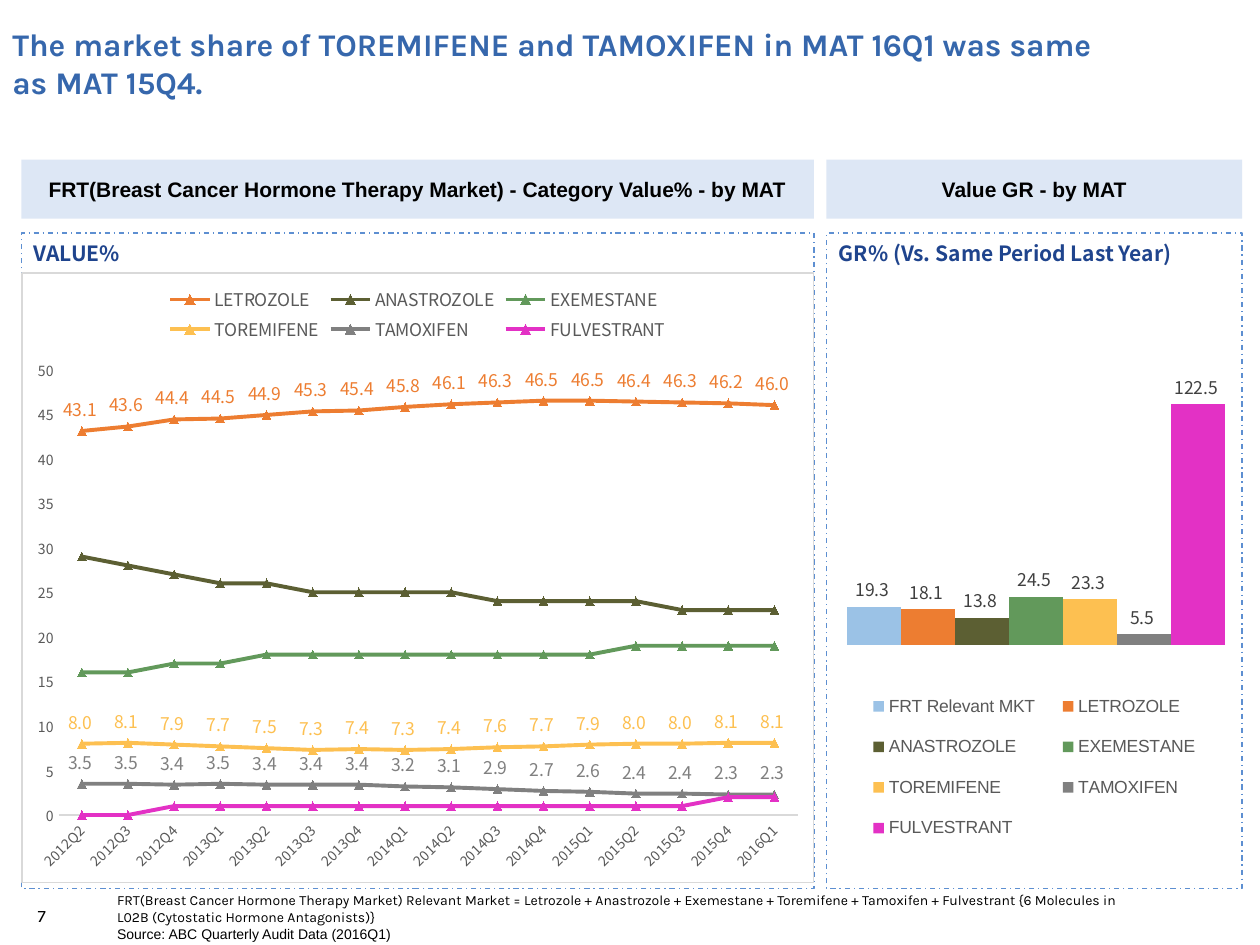
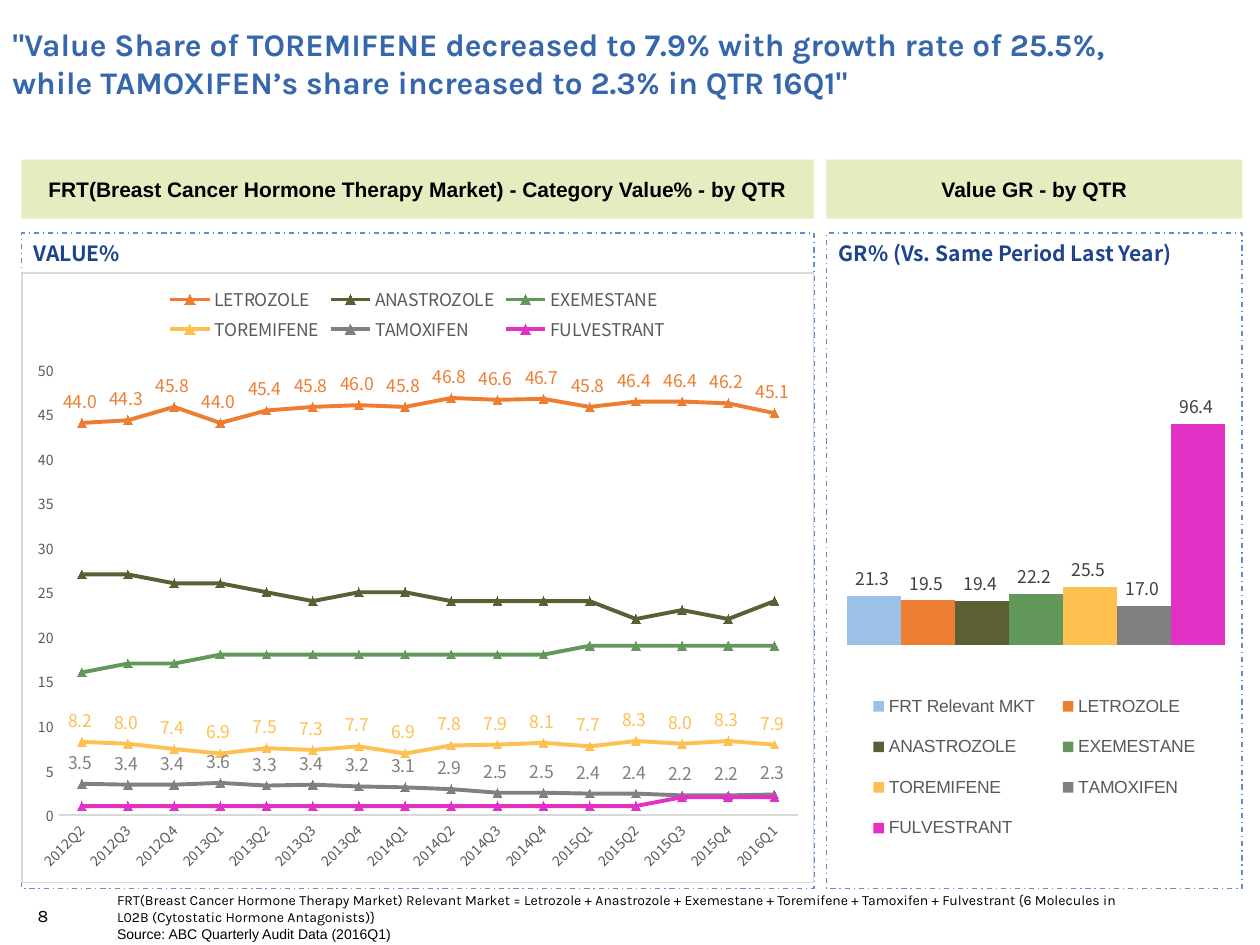
import pptx
import pptx.chart.data
import pptx.dml.color
import pptx.enum.chart
import pptx.enum.dml
import pptx.enum.shapes
import pptx.enum.text
import pptx.oxml
import pptx.oxml.ns
import pptx.util

Cm, Pt = pptx.util.Cm, pptx.util.Pt
RGBColor = pptx.dml.color.RGBColor
PP_ALIGN = pptx.enum.text.PP_ALIGN
MSO_ANCHOR = pptx.enum.text.MSO_ANCHOR
XL = pptx.enum.chart
qn = pptx.oxml.ns.qn

BLACK = RGBColor(0x00, 0x00, 0x00)
TITLE_BLUE = RGBColor(0x36, 0x67, 0xAC)
PANEL_BLUE = RGBColor(0x1F, 0x44, 0x8D)
DASH_BLUE = RGBColor(0x5D, 0x8F, 0xD1)
BAND_BLUE = RGBColor(0xAB, 0xC5, 0xE7)
BAND_GREEN = RGBColor(0xBD, 0xD2, 0x62)
RULE_GREY = RGBColor(0xD9, 0xD9, 0xD9)
AXIS_GREY = RGBColor(0x59, 0x59, 0x59)
LABEL_GREY = RGBColor(0x40, 0x40, 0x40)
COLOURS = {
    "FRT Relevant MKT": RGBColor(0x9B, 0xC2, 0xE6),
    "LETROZOLE": RGBColor(0xED, 0x7D, 0x31),
    "ANASTROZOLE": RGBColor(0x5C, 0x5F, 0x33),
    "EXEMESTANE": RGBColor(0x62, 0x99, 0x5B),
    "TOREMIFENE": RGBColor(0xFD, 0xC0, 0x51),
    "TAMOXIFEN": RGBColor(0x80, 0x80, 0x80),
    "FULVESTRANT": RGBColor(0xE3, 0x31, 0xC5),
}
LABELLED = ("LETROZOLE", "TOREMIFENE", "TAMOXIFEN")
KARLA, ARIAL, NOTO = "Karla", "Arial", "Noto Sans CJK SC"
NUMBER = "#,##0.0_ "

# Left edge and width, in centimetres, of the two columns
SHARE_COLUMN = (0.43, 15.98)
GROWTH_COLUMN = (16.66, 8.38)
BAND_TOP, BAND_HEIGHT = 3.22, 1.19
PANEL_TOP, PANEL_HEIGHT = 4.7, 13.21
CHART_DROP, CHART_HEIGHT = 0.79, 12.32

QUARTERS = [f"{y}Q{q}" for y in range(2012, 2017) for q in range(1, 5)][1:17]
FOOTNOTE = ("FRT(Breast Cancer Hormone Therapy Market) Relevant Market = Letrozole + "
            "Anastrozole + Exemestane + Toremifene + Tamoxifen + Fulvestrant "
            "{6 Molecules in L02B (Cytostatic Hormone Antagonists)}")
SOURCE = "Source: ABC Quarterly Audit Data (2016Q1)"

SLIDES = [
    dict(
        number="7", period="MAT", band=BAND_BLUE, growth_max=140,
        title="The market share of TOREMIFENE and TAMOXIFEN in MAT 16Q1 was same "
              "as MAT 15Q4.",
        growth=[19.3, 18.1, 13.8, 24.5, 23.3, 5.5, 122.5],
        share={
            "LETROZOLE": [43.1, 43.6, 44.4, 44.5, 44.9, 45.3, 45.4, 45.8,
                          46.1, 46.3, 46.5, 46.5, 46.4, 46.3, 46.2, 46],
            "ANASTROZOLE": [29, 28, 27, 26, 26, 25, 25, 25,
                            25, 24, 24, 24, 24, 23, 23, 23],
            "EXEMESTANE": [16, 16, 17, 17, 18, 18, 18, 18,
                           18, 18, 18, 18, 19, 19, 19, 19],
            "TOREMIFENE": [8, 8.1, 7.9, 7.7, 7.5, 7.3, 7.4, 7.3,
                           7.4, 7.6, 7.7, 7.9, 8, 8, 8.1, 8.1],
            "TAMOXIFEN": [3.5, 3.5, 3.4, 3.5, 3.4, 3.4, 3.4, 3.2,
                          3.1, 2.9, 2.7, 2.6, 2.4, 2.4, 2.3, 2.3],
            "FULVESTRANT": [0, 0, 1, 1, 1, 1, 1, 1, 1, 1, 1, 1, 1, 1, 2, 2],
        }),
    dict(
        number="8", period="QTR", band=BAND_GREEN, growth_max=120,
        title="\"Value Share of TOREMIFENE decreased to 7.9% with growth rate of 25.5%, "
              "while TAMOXIFEN\u2019s share increased to 2.3% in QTR 16Q1\"",
        growth=[21.3, 19.5, 19.4, 22.2, 25.5, 17, 96.4],
        share={
            "LETROZOLE": [44, 44.3, 45.8, 44, 45.4, 45.8, 46, 45.8,
                          46.8, 46.6, 46.7, 45.8, 46.4, 46.4, 46.2, 45.1],
            "ANASTROZOLE": [27, 27, 26, 26, 25, 24, 25, 25,
                            24, 24, 24, 24, 22, 23, 22, 24],
            "EXEMESTANE": [16, 17, 17, 18, 18, 18, 18, 18,
                           18, 18, 18, 19, 19, 19, 19, 19],
            "TOREMIFENE": [8.2, 8, 7.4, 6.9, 7.5, 7.3, 7.7, 6.9,
                           7.8, 7.9, 8.1, 7.7, 8.3, 8, 8.3, 7.9],
            "TAMOXIFEN": [3.5, 3.4, 3.4, 3.6, 3.3, 3.4, 3.2, 3.1,
                          2.9, 2.5, 2.5, 2.4, 2.4, 2.2, 2.2, 2.3],
            "FULVESTRANT": [1, 1, 1, 1, 1, 1, 1, 1, 1, 1, 1, 1, 1, 2, 2, 2],
        }),
]


def set_font(font, name, size, colour, bold=False):
    """Set face, size, colour and weight of a font."""
    font.name, font.size, font.bold = name, Pt(size), bold
    font.color.rgb = colour


def add_text(s, box, text, name, size, colour=BLACK, bold=False, anchor=MSO_ANCHOR.TOP):
    """Add a wrapped text box with one run; box is in centimetres."""
    tf = s.shapes.add_textbox(*map(Cm, box)).text_frame
    tf.word_wrap = True
    tf.vertical_anchor = anchor
    r = tf.paragraphs[0].add_run()
    r.text = text
    set_font(r.font, name, size, colour, bold)


def add_rect(s, box):
    """Add a plain rectangle without shadow."""
    sp = s.shapes.add_shape(pptx.enum.shapes.MSO_SHAPE.RECTANGLE, *map(Cm, box))
    sp.shadow.inherit = False
    return sp


def add_band(s, column, text, colour):
    """Add the translucent heading band above a column."""
    left, width = column
    sp = add_rect(s, (left, BAND_TOP, width, BAND_HEIGHT))
    sp.fill.solid()
    sp.fill.fore_color.rgb = colour
    clr = sp.fill._xPr.find(".//" + qn("a:srgbClr"))
    clr.append(pptx.oxml.parse_xml(
        f'<a:alpha {pptx.oxml.ns.nsdecls("a")} val="40000"/>'))
    sp.line.fill.background()
    tf = sp.text_frame
    tf.word_wrap = False
    tf.vertical_anchor = MSO_ANCHOR.MIDDLE
    p = tf.paragraphs[0]
    p.alignment = PP_ALIGN.CENTER
    r = p.add_run()
    r.text = text
    set_font(r.font, ARIAL, 12, BLACK, True)


def add_panel(s, column, caption):
    """Add a captioned dash-dot frame and return the chart box inside it."""
    left, width = column
    add_text(s, (left, PANEL_TOP + 0.02, width, 0.76), caption, NOTO, 12, PANEL_BLUE, True)
    sp = add_rect(s, (left, PANEL_TOP, width, PANEL_HEIGHT))
    sp.fill.background()
    sp.line.color.rgb = DASH_BLUE
    sp.line.width = Pt(0.75)
    sp.line.dash_style = pptx.enum.dml.MSO_LINE.DASH_DOT
    return left, PANEL_TOP + CHART_DROP, width, CHART_HEIGHT


def set_layout(parent, index, x, y, w, h, target=""):
    """Place a plot area or legend by fractions of its chart."""
    for old in parent.findall(qn("c:layout")):
        parent.remove(old)
    sizes = "".join(f'<c:{k} val="{v}"/>' for k, v in zip("xywh", (x, y, w, h)))
    parent.insert(index, pptx.oxml.parse_xml(
        f'<c:layout {pptx.oxml.ns.nsdecls("c")}><c:manualLayout>{target}'
        f'<c:xMode val="edge"/><c:yMode val="edge"/>{sizes}'
        '</c:manualLayout></c:layout>'))


def add_chart(s, box, kind, categories, series, legend_position, legend_font):
    """Add a chart with the shared font and legend style."""
    data = pptx.chart.data.CategoryChartData(number_format=NUMBER)
    data.categories = categories
    for name, values in series.items():
        data.add_series(name, values)
    chart = s.shapes.add_chart(kind, *map(Cm, box), data).chart
    chart.has_title = False
    set_font(chart.font, NOTO, 10, BLACK)
    chart.plots[0].vary_by_categories = False
    chart.has_legend = True
    chart.legend.position = legend_position
    chart.legend.include_in_layout = False
    set_font(chart.legend.font, legend_font, 10, AXIS_GREY)
    chart.value_axis.has_major_gridlines = False
    chart.value_axis.minimum_scale = 0
    return chart


def add_labels(series, position, colour):
    """Show the values of one series."""
    labels = series.data_labels
    labels.show_value = True
    labels.number_format = NUMBER
    labels.number_format_is_linked = False
    labels.position = position
    set_font(labels.font, NOTO, 10, colour)


def add_share_chart(s, box, share):
    """Add the line chart of value share by quarter."""
    chart = add_chart(s, box, XL.XL_CHART_TYPE.LINE_MARKERS, QUARTERS, share,
                      XL.XL_LEGEND_POSITION.TOP, NOTO)
    for axis in (chart.category_axis, chart.value_axis):
        axis.major_tick_mark = axis.minor_tick_mark = XL.XL_TICK_MARK.NONE
        set_font(axis.tick_labels.font, NOTO, 8, AXIS_GREY)
    line = chart.category_axis.format.line
    line.color.rgb = RULE_GREY
    line.width = Pt(0.75)
    body = chart.category_axis._element.find(qn("c:txPr")).find(qn("a:bodyPr"))
    body.set("rot", "-2700000")
    axis = chart.value_axis
    axis.maximum_scale, axis.major_unit = 50, 5
    axis.tick_labels.number_format = "#,##0"
    axis.tick_labels.number_format_is_linked = False
    axis.format.line.fill.background()
    for series in chart.plots[0].series:
        colour = COLOURS[series.name]
        series.smooth = False
        series.format.line.color.rgb = colour
        series.format.line.width = Pt(2.25)
        marker = series.marker
        marker.style, marker.size = XL.XL_MARKER_STYLE.TRIANGLE, 5
        marker.format.fill.solid()
        marker.format.fill.fore_color.rgb = colour
        marker.format.line.color.rgb = colour
        if series.name in LABELLED:
            add_labels(series, XL.XL_LABEL_POSITION.ABOVE, colour)
    chart._chartSpace.find(qn("c:txPr")).addprevious(pptx.oxml.parse_xml(
        f'<c:spPr {pptx.oxml.ns.nsdecls("c", "a")}><a:noFill/><a:ln w="9525">'
        f'<a:solidFill><a:srgbClr val="{RULE_GREY}"/></a:solidFill></a:ln></c:spPr>'))


def add_growth_chart(s, box, growth, maximum):
    """Add the column chart of growth rates, with its axes hidden."""
    series = {name: [value] for name, value in zip(COLOURS, growth)}
    chart = add_chart(s, box, XL.XL_CHART_TYPE.COLUMN_CLUSTERED, ["1"], series,
                      XL.XL_LEGEND_POSITION.BOTTOM, ARIAL)
    chart.value_axis.maximum_scale = maximum
    chart.value_axis.visible = chart.category_axis.visible = False
    plot = chart.plots[0]
    plot.gap_width, plot.overlap = 1, 0
    for series in plot.series:
        series.format.fill.solid()
        series.format.fill.fore_color.rgb = COLOURS[series.name]
        add_labels(series, XL.XL_LABEL_POSITION.OUTSIDE_END, LABEL_GREY)
    set_layout(chart._chartSpace.find(".//" + qn("c:plotArea")), 0,
               0.05, 0.16, 0.91, 0.45, '<c:layoutTarget val="inner"/>')
    set_layout(chart.legend._element, 1, 0.06, 0.66, 0.88, 0.3)


def add_footer(s, number):
    """Add the page number, the market definition and the source."""
    add_text(s, (0.51, 18.11, 1.6, 0.69), number, KARLA, 10, anchor=MSO_ANCHOR.MIDDLE)
    add_text(s, (2.11, 18.08, 21.13, 0.46), FOOTNOTE, KARLA, 8, anchor=MSO_ANCHOR.MIDDLE)
    add_text(s, (2.11, 18.54, 21.13, 0.61), SOURCE, ARIAL, 8)


def add_market_slide(prs, page):
    """Add one slide: title, share column, growth column and footer."""
    s = prs.slides.add_slide(prs.slide_layouts[6])
    add_text(s, (0, 0, 22.63, 2.54), page["title"], KARLA, 18, TITLE_BLUE, True,
             MSO_ANCHOR.MIDDLE)
    period = page["period"]
    add_band(s, SHARE_COLUMN, "FRT(Breast Cancer Hormone Therapy Market) - "
             f"Category Value% - by {period}", page["band"])
    add_band(s, GROWTH_COLUMN, f"Value GR - by {period}", page["band"])
    box = add_panel(s, GROWTH_COLUMN, "GR% (Vs. Same Period Last Year)")
    add_growth_chart(s, box, page["growth"], page["growth_max"])
    box = add_panel(s, SHARE_COLUMN, "VALUE%")
    add_share_chart(s, box, page["share"])
    add_footer(s, page["number"])


prs = pptx.Presentation()
prs.slide_width, prs.slide_height = Cm(25.4), Cm(19.05)
for page in SLIDES:
    add_market_slide(prs, page)
prs.save("out.pptx")
